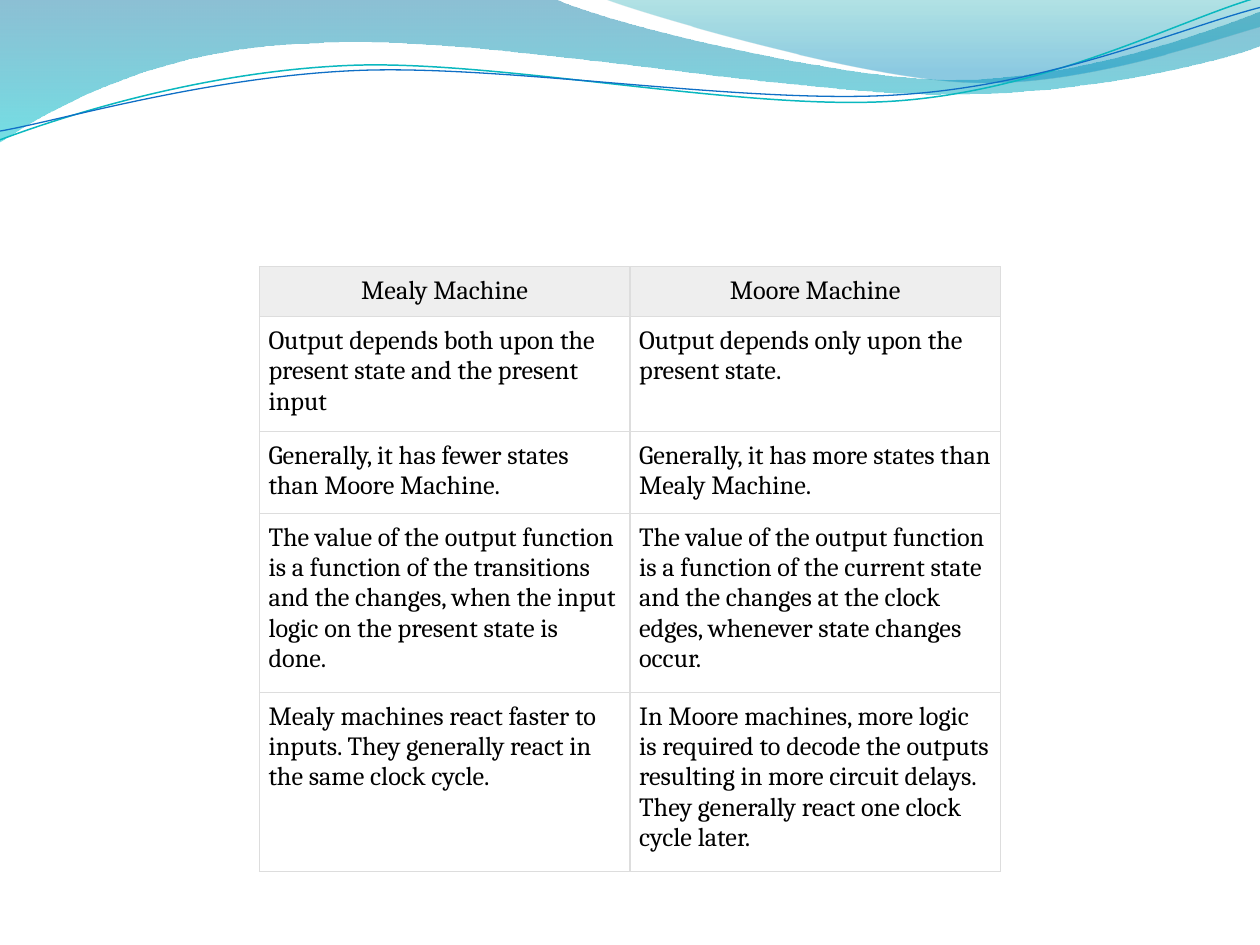
import math
from lxml import etree
from pptx import Presentation
from pptx.dml import color
from pptx.enum import text
from pptx.oxml import ns
from pptx.util import Pt

SIZE = (720, 540)
BANDS = [
    {"start": (0, 0),
     "steps": [(316.8, -0.7),
               (342.7, 12.2, 478.1, 45.4, 545.8, 45.4),
               (614.2, 45.4, 689.8, 18.7, 720, 6.5),
               (720.7, 25.9),
               (707.8, 31.7, 626.4, 54.7, 537.1, 54),
               (447.8, 54, 275, 20.2, 185, 24.5),
               (92.9, 25.9, 33.1, 59.8, -0.7, 81.4),
               (0, 0)],
     "stops": [(0, "0074A1", 45), (1, "00C6CF", 55)]},
    {"start": (344.9, -0.7),
     "steps": [(366.5, 7.9, 491, 44.6, 553.7, 46.8),
               (616.3, 49.7, 691.9, 23, 720, 15.1),
               (720, 0),
               (344.9, -0.7)],
     "stops": [(0, "00A1A9", 30), (0.8, "008BBF", 45)]},
]
WAVES = [
    {"start": (0, 79.9), "hub": (359.3, 41.4), "line": ("0AB8BF", 0.85),
     "steps": [(34.6, 67, 113.8, 41, 199.4, 37.4),
               (284.4, 33.8, 427, 64.1, 513.4, 57.6),
               (599.8, 51.1, 675.4, 10.8, 718.6, -1.4)]},
    {"start": (0, 74.9), "hub": (359.6, 42.5), "line": ("0F6FC6", 0.75),
     "steps": [(33.8, 69.1, 118.1, 43.9, 203.8, 40.3),
               (290.2, 36.7, 429.8, 60.5, 516.2, 54),
               (601.9, 48.2, 677.5, 15.1, 720, 4.3)]},
]
TILT = 2.7
ROWS = [
    (28.6, "Mealy Machine", "Moore Machine"),
    (65.6, "Output depends both upon the present state and the present input",
     "Output depends only upon the present state."),
    (46.8, "Generally, it has fewer states than Moore Machine.",
     "Generally, it has more states than Mealy Machine."),
    (102.3, "The value of the output function is a function of the transitions "
     "and the changes, when the input logic on the present state is done.",
     "The value of the output function is a function of the current state "
     "and the changes at the clock edges, whenever state changes occur."),
    (102.3, "Mealy machines react faster to inputs. They generally react in "
     "the same clock cycle.",
     "In Moore machines, more logic is required to decode the outputs resulting "
     "in more circuit delays. They generally react one clock cycle later."),
]
LEFT, TOP, WIDTH = 148.2, 152.4, 211.8
FONT = {"name": "Cambria", "size": Pt(15), "bold": False}
CELL = {f"margin_{side}": Pt(5.25) for side in ("left", "right", "top", "bottom")}


def rgb(code):
    return color.RGBColor.from_string(code)


def apply(item, values):
    for key, value in values.items():
        setattr(item, key, value)


def turn(dot, hub, angle):
    dx, dy = dot[0] - hub[0], dot[1] - hub[1]
    cos, sin = math.cos(math.radians(angle)), math.sin(math.radians(angle))
    return hub[0] + dx * cos - dy * sin, hub[1] + dx * sin + dy * cos


def draw(slide, form, close, hub=(0, 0), angle=0):
    dots = [form["start"]]
    for step in form["steps"]:
        dots += zip(step[::2], step[1::2])
    dots = [tuple(map(Pt, turn(dot, hub, angle))) for dot in dots]
    pen = slide.shapes.build_freeform(*dots[0], scale=1.0)
    pen.add_line_segments(dots[1:], close=close)
    shape = pen.convert_to_shape()
    shape.shadow.inherit = False
    lines = iter(list(shape._element.spPr.iter(ns.qn("a:lnTo"))))
    for step in form["steps"]:
        first = next(lines)
        if len(step) == 6:
            first.tag = ns.qn("a:cubicBezTo")
            for _ in range(2):
                line = next(lines)
                first.append(line[0])
                line.getparent().remove(line)
    return shape


def add_band(slide, band):
    shape = draw(slide, band, True)
    shape.line.fill.background()
    shape.fill.gradient()
    shape.fill.gradient_angle = 270
    for stop, (place, code, _) in zip(shape.fill.gradient_stops, band["stops"]):
        stop.position = place
        stop.color.rgb = rgb(code)
    tints = shape._element.spPr.iter(ns.qn("a:srgbClr"))
    for tint, (_, _, alpha) in zip(tints, band["stops"]):
        etree.SubElement(tint, ns.qn("a:alpha"), val=str(alpha * 1000))


def add_wave(slide, wave):
    shape = draw(slide, wave, False, wave["hub"], TILT)
    shape.rotation = 360 - TILT
    shape.fill.background()
    code, width = wave["line"]
    shape.line.color.rgb = rgb(code)
    shape.line.width = Pt(width)


def add_edges(cell, code, width):
    props = cell._tc.get_or_add_tcPr()
    for side in "LRTB":
        edge = etree.SubElement(props, ns.qn(f"a:ln{side}"), w=str(Pt(width)))
        fill = etree.SubElement(edge, ns.qn("a:solidFill"))
        etree.SubElement(fill, ns.qn("a:srgbClr"), val=code)


def fill_cell(cell, words, head):
    apply(cell, CELL)
    add_edges(cell, "DDDDDD", 0.75)
    if head:
        cell.fill.solid()
        cell.fill.fore_color.rgb = rgb("EEEEEE")
    else:
        cell.fill.background()
    cell.text = words
    para = cell.text_frame.paragraphs[0]
    para.alignment = text.PP_ALIGN.CENTER if head else text.PP_ALIGN.LEFT
    font = para.runs[0].font
    apply(font, FONT)
    font.color.rgb = rgb("000000")


def add_grid(slide):
    high = sum(row[0] for row in ROWS)
    frame = slide.shapes.add_table(len(ROWS), 2, Pt(LEFT), Pt(TOP), Pt(2 * WIDTH), Pt(high))
    table = frame.table
    apply(table, {"first_row": False, "horz_banding": False})
    for col in table.columns:
        col.width = Pt(WIDTH)
    for r, (tall, *words) in enumerate(ROWS):
        table.rows[r].height = Pt(tall)
        for c, word in enumerate(words):
            fill_cell(table.cell(r, c), word, r == 0)


def main():
    deck = Presentation()
    deck.slide_width, deck.slide_height = map(Pt, SIZE)
    slide = deck.slides.add_slide(deck.slide_layouts[6])
    for band in BANDS:
        add_band(slide, band)
    for wave in WAVES:
        add_wave(slide, wave)
    add_grid(slide)
    deck.save("out.pptx")


if __name__ == "__main__":
    main()
